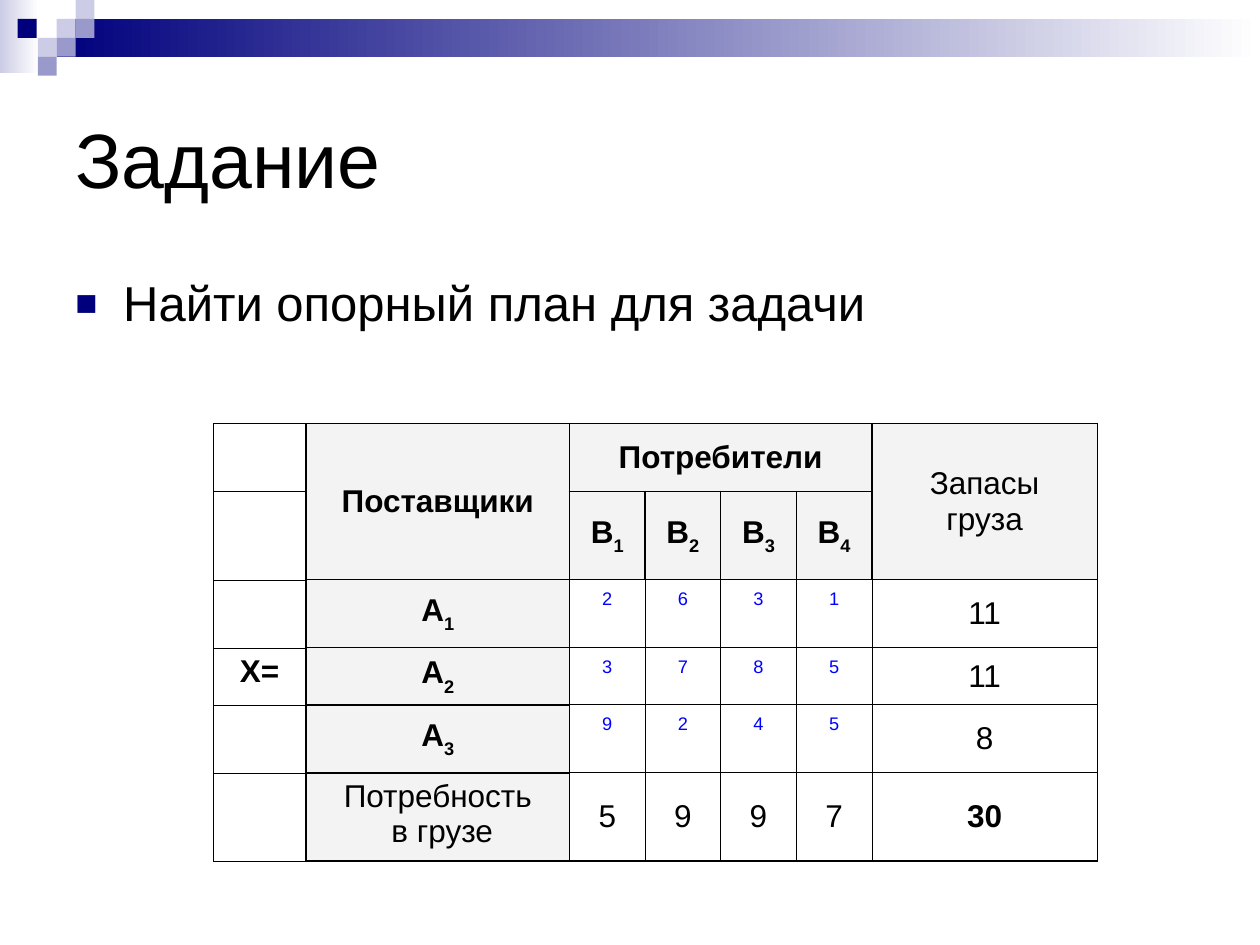
from lxml.etree import SubElement
from pptx import Presentation
from pptx.dml.color import RGBColor
from pptx.enum.shapes import MSO_SHAPE
from pptx.enum.text import MSO_ANCHOR, PP_ALIGN
from pptx.oxml.ns import qn
from pptx.util import Inches, Pt

COLORS = {
    "navy": "00007D",
    "lilac": "9999CC",
    "pale": "CCCCE6",
    "white": "FFFFFF",
    "black": "000000",
    "line": "010000",
    "head": "F3F3F3",
    "cost": "0000FF",
}
SUBSCRIPT, SUPERSCRIPT = -30000, 30000
THIN, LIGHT, HEAVY = 0.06, 0.45, 0.96

SQUARE = 0.15
SQUARES = [
    (0.45, 0.15, "pale"),
    (0.6, 0, "pale"),
    (0.6, 0.15, "lilac"),
    (0.3, 0.3, "pale"),
    (0.14, 0.15, "navy"),
    (0.45, 0.3, "lilac"),
    (0.3, 0.45, "lilac"),
]

COLUMNS = [0.74, 2.09, 0.6, 0.6, 0.6, 0.6, 1.79]
ROWS = [0.54, 0.66, 0.54, 0.43, 0.54, 0.66]
MERGES = [((0, 1), (1, 1)), ((0, 2), (0, 5)), ((0, 6), (1, 6))]
CELLS = [
    ["", "Поставщики", "Потребители", "", "", "", "Запасы\vгруза"],
    ["", "", "В_1", "В_2", "В_3", "В_4", ""],
    ["", "А_1", "2", "6", "3", "1", "11"],
    ["X=", "А_2", "3", "7", "8", "5", "11"],
    ["", "А_3", "9", "2", "4", "5", "8"],
    ["", "Потребность\v в грузе", "5", "9", "9", "7", "30"],
]
LAST_ROW, LAST_COLUMN = len(ROWS) - 1, len(COLUMNS) - 1


def assign(target, values):
    for name, value in values.items():
        setattr(target, name, value)


def is_head(row, column):
    return column == 1 or (row < 2 and column > 1)


def is_cost(row, column):
    return 2 <= row < LAST_ROW and 2 <= column < LAST_COLUMN


def is_bold(row, column):
    if row == LAST_ROW:
        return column == LAST_COLUMN
    return column < 2 or (row < 2 and column < LAST_COLUMN)


def border_widths(row, column):
    if column == 0:
        return {"L": THIN, "R": HEAVY, "T": THIN, "B": THIN}
    outer = {
        "L": column == 2,
        "R": column == LAST_COLUMN,
        "T": row == 2,
        "B": row == LAST_ROW,
    }
    head = is_head(row, column)
    return {side: HEAVY if head or edge else LIGHT for side, edge in outer.items()}


class SlideBuilder:
    def __init__(self, slide, font="Arial"):
        self.slide = slide
        self.font = font

    def color(self, name):
        return RGBColor.from_string(COLORS[name])

    def lengths(self, *values):
        return [Inches(value) for value in values]

    def rectangle(self, left, top, width, height, start, end=None):
        box = self.slide.shapes.add_shape(
            MSO_SHAPE.RECTANGLE, *self.lengths(left, top, width, height)
        )
        box.shadow.inherit = False
        box.line.fill.background()
        if end:
            box.fill.gradient()
            box.fill.gradient_angle = 0
            for stop, name in zip(box.fill.gradient_stops, (start, end)):
                stop.color.rgb = self.color(name)
        else:
            box.fill.solid()
            box.fill.fore_color.rgb = self.color(start)

    def span(self, para, text, size, color="black", bold=False, baseline=0):
        span = para.add_run()
        span.text = text
        assign(span.font, {"name": self.font, "size": Pt(size), "bold": bold})
        span.font.color.rgb = self.color(color)
        if baseline:
            span.font._element.set("baseline", str(baseline))

    def text(self, left, top, width, height, text, size, anchor):
        box = self.slide.shapes.add_textbox(*self.lengths(left, top, width, height))
        assign(box.text_frame, {"word_wrap": True, "vertical_anchor": anchor})
        para = box.text_frame.paragraphs[0]
        self.span(para, text, size)
        return para

    def bullet(self, para, indent):
        properties = para._p.get_or_add_pPr()
        properties.set("marL", str(Inches(indent)))
        properties.set("indent", str(-Inches(indent)))
        tint = SubElement(properties, qn("a:buClr"))
        SubElement(tint, qn("a:srgbClr"), val=COLORS["navy"])
        SubElement(properties, qn("a:buSzPct"), val="75000")
        SubElement(properties, qn("a:buFont"), typeface=self.font)
        SubElement(properties, qn("a:buChar"), char="■")
        assign(para, {"alignment": PP_ALIGN.JUSTIFY, "line_spacing": 0.9})

    def borders(self, cell, widths):
        properties = cell._tc.get_or_add_tcPr()
        for index, (side, width) in enumerate(widths.items()):
            line = properties.makeelement(qn(f"a:ln{side}"), {"w": str(Pt(width))})
            fill = SubElement(line, qn("a:solidFill"))
            SubElement(fill, qn("a:srgbClr"), val=COLORS["line"])
            properties.insert(index, line)

    def cell(self, cell, row, column, text):
        cost = is_cost(row, column)
        if is_head(row, column):
            cell.fill.solid()
            cell.fill.fore_color.rgb = self.color("head")
        else:
            cell.fill.background()
        self.borders(cell, border_widths(row, column))
        top = cost or column == 0 or (row, column) == (LAST_ROW, 1)
        cell.vertical_anchor = MSO_ANCHOR.TOP if top else MSO_ANCHOR.MIDDLE
        para = cell.text_frame.paragraphs[0]
        para.alignment = PP_ALIGN.CENTER
        bold = is_bold(row, column)
        base, mark, index = text.partition("_")
        for number, part in enumerate(base.split("\v")):
            if number:
                para.add_line_break()
            if part:
                self.span(para, part, 18, "cost" if cost else "black", bold,
                          SUPERSCRIPT if cost else 0)
        if mark:
            self.span(para, index, 18, bold=bold, baseline=SUBSCRIPT)

    def table(self, left, top):
        frame = self.slide.shapes.add_table(
            len(ROWS), len(COLUMNS),
            *self.lengths(left, top, sum(COLUMNS), sum(ROWS)),
        )
        table = frame.table
        assign(table, {"first_row": False, "horz_banding": False})
        for column, width in zip(table.columns, COLUMNS):
            column.width = Inches(width)
        for row, height in zip(table.rows, ROWS):
            row.height = Inches(height)
        for first, last in MERGES:
            table.cell(*first).merge(table.cell(*last))
        for row, texts in enumerate(CELLS):
            for column, text in enumerate(texts):
                self.cell(table.cell(row, column), row, column, text)


def main():
    deck = Presentation()
    assign(deck, {"slide_width": Inches(10), "slide_height": Inches(7.5)})
    page = SlideBuilder(deck.slides.add_slide(deck.slide_layouts[6]))
    page.rectangle(0, 0, 0.31, 0.58, "pale", "white")
    page.rectangle(0.45, 0.15, 9.55, 0.3, "navy", "white")
    for left, top, color in SQUARES:
        page.rectangle(left, top, SQUARE, SQUARE, color)
    page.text(0.5, 0.5, 9, 1.5, "Задание", 44, MSO_ANCHOR.MIDDLE)
    task = page.text(0.5, 2.17, 9, 1.58, "Найти опорный план для задачи", 28,
                     MSO_ANCHOR.TOP)
    page.bullet(task, 0.38)
    page.table(1.69, 3.36)
    deck.save("out.pptx")


if __name__ == "__main__":
    main()
